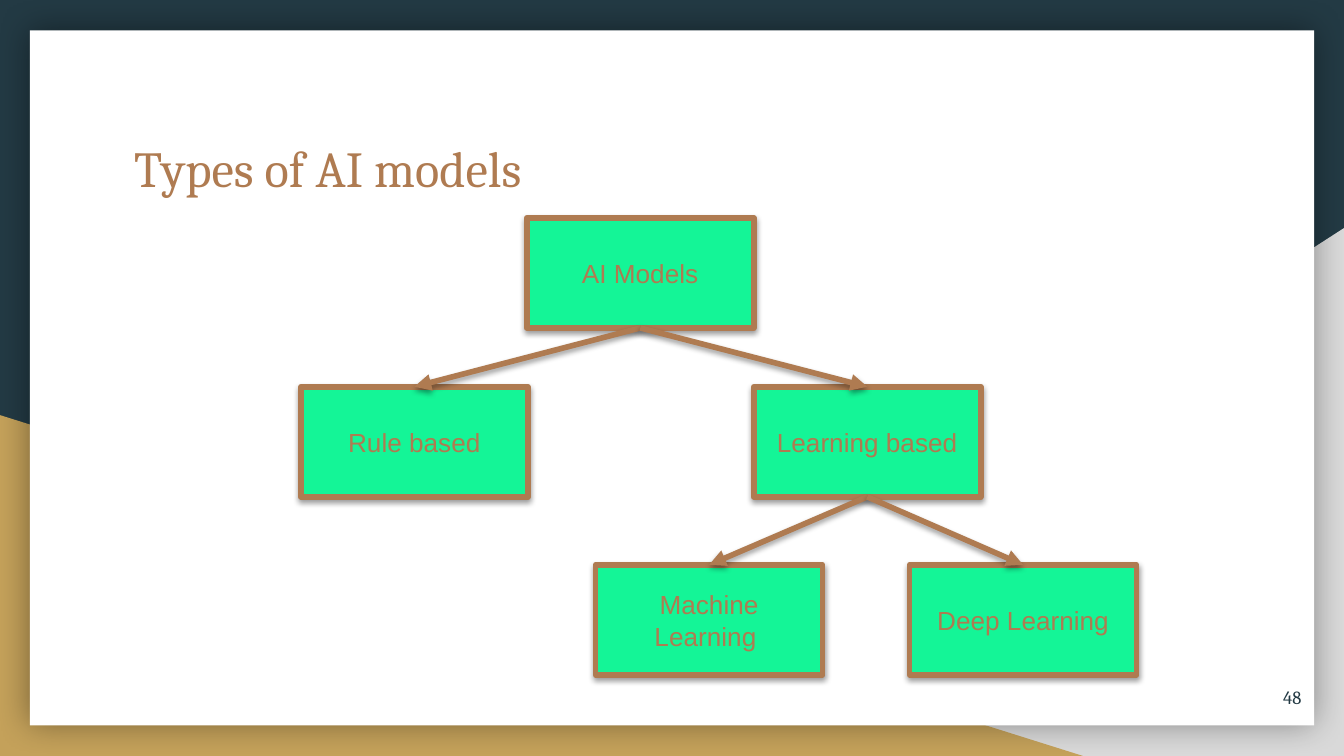
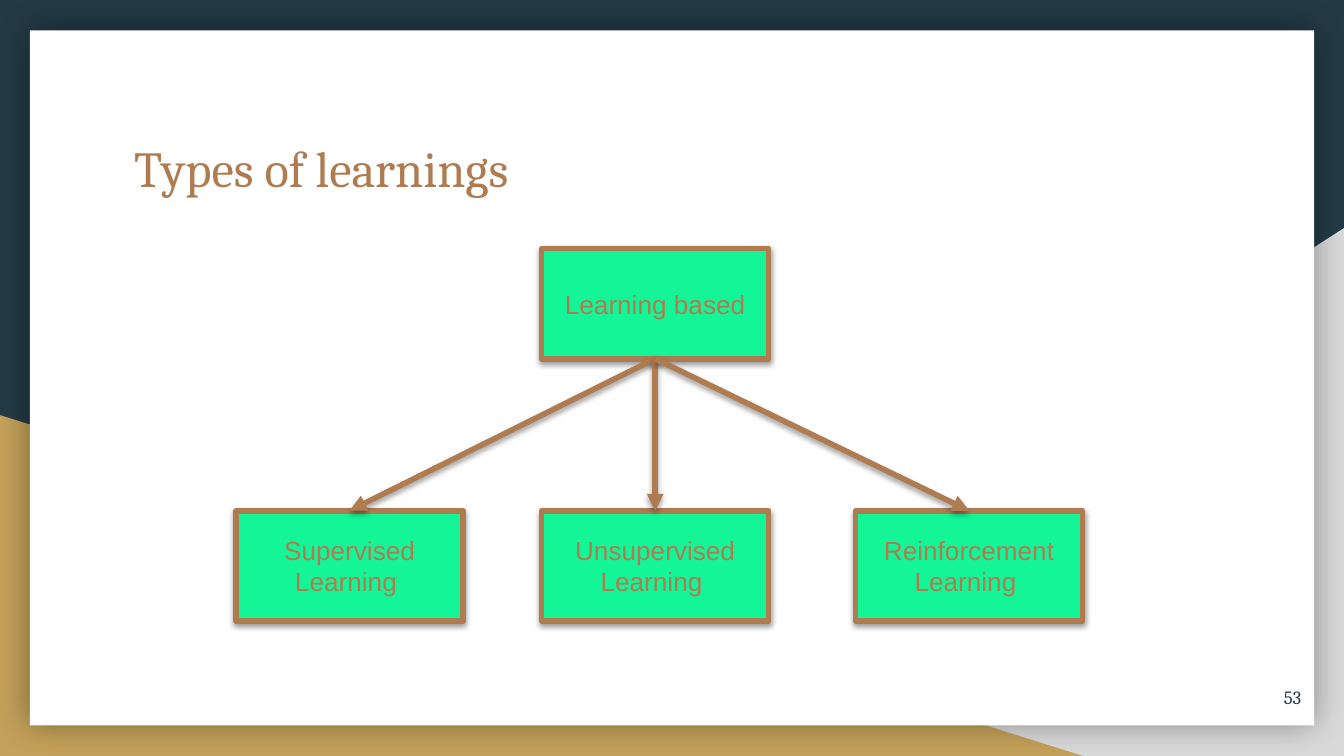
import pptx
import pptx.util
import pptx.dml.color
import pptx.enum.shapes
import pptx.enum.text
import pptx.oxml.ns
import lxml.etree

Pt = pptx.util.Pt
qn = pptx.oxml.ns.qn
SHAPE = pptx.enum.shapes.MSO_SHAPE
ALIGN = pptx.enum.text.PP_ALIGN
ANCHOR = pptx.enum.text.MSO_ANCHOR

COLORS = {
    "night": "233A44",
    "sand": "C4A15A",
    "mist": "D9D9D9",
    "paper": "FFFFFF",
    "copper": "AF7B51",
    "mint": "14F597",
    "shade": "000000",
}
PAPER_SHADOW = {"blur": 18, "distance": 0, "angle": 0, "opacity": 40}
NODE_SHADOW = {"blur": 3.1, "distance": 1.6, "angle": 90, "opacity": 38}
TITLE_FONT = {"name": "Cambria", "size": Pt(27)}
NUMBER_FONT = {"name": "Cambria", "size": Pt(10)}
NODE_FONT = {"name": "Arial", "size": Pt(14)}
NODE_WIDTH, NODE_HEIGHT = 121.6, 59
TOP_SITE, BOTTOM_SITE = 0, 2


def rgb(color):
    return pptx.dml.color.RGBColor.from_string(COLORS[color])


class Deck:
    def __init__(self):
        self.presentation = pptx.Presentation()
        self.presentation.slide_width = Pt(720)
        self.presentation.slide_height = Pt(405)
        self.slide = None

    def start_slide(self, title, number):
        self.slide = self.presentation.slides.add_slide(self.presentation.slide_layouts[6])
        backdrop = self.slide.background.fill
        backdrop.solid()
        backdrop.fore_color.rgb = rgb("night")
        right_corner = self.panel(SHAPE.RIGHT_TRIANGLE, (282, 122.2, 438, 282.8), "mist")
        right_corner._element.spPr.find(qn("a:xfrm")).set("flipH", "1")
        self.panel(SHAPE.RIGHT_TRIANGLE, (0, 222.4, 580.2, 182.6), "sand")
        paper = self.panel(SHAPE.RECTANGLE, (16, 16.2, 688, 372.4), "paper")
        self.cast_shadow(paper, **PAPER_SHADOW)
        self.label(title, (64.8, 66.3, 591, 50.4), TITLE_FONT, "copper", ALIGN.LEFT, ANCHOR.TOP)
        self.label(number, (661, 358, 43.2, 31), NUMBER_FONT, "night", ALIGN.RIGHT, ANCHOR.MIDDLE)

    def panel(self, kind, box, color):
        panel = self.slide.shapes.add_shape(kind, *map(Pt, box))
        panel.shadow.inherit = False
        panel.fill.solid()
        panel.fill.fore_color.rgb = rgb(color)
        panel.line.fill.background()
        return panel

    def label(self, text, box, font, color, align, anchor):
        label = self.slide.shapes.add_textbox(*map(Pt, box))
        margins = dict.fromkeys(
            ("margin_left", "margin_top", "margin_right", "margin_bottom"), Pt(7.2))
        for name, value in margins.items():
            setattr(label.text_frame, name, value)
        self.set_text(label.text_frame, text, font, color, align, anchor)

    def set_text(self, frame, text, font, color, align, anchor):
        frame.word_wrap = True
        frame.vertical_anchor = anchor
        paragraph = frame.paragraphs[0]
        paragraph.alignment = align
        run = paragraph.add_run()
        run.text = text
        for name, value in font.items():
            setattr(run.font, name, value)
        run.font.color.rgb = rgb(color)

    def outline(self, line):
        line.color.rgb = rgb("copper")
        line.width = Pt(3)
        stroke = line._get_or_add_ln()
        lxml.etree.SubElement(stroke, qn("a:round"))
        return stroke

    def cast_shadow(self, element, blur, distance, angle, opacity):
        properties = element._element.spPr
        effects = properties.find(qn("a:effectLst"))
        if effects is None:
            effects = lxml.etree.SubElement(properties, qn("a:effectLst"))
        shadow = lxml.etree.SubElement(
            effects, qn("a:outerShdw"), blurRad=str(int(Pt(blur))),
            dist=str(int(Pt(distance))), dir=str(angle * 60000),
            algn="bl", rotWithShape="0")
        tint = lxml.etree.SubElement(shadow, qn("a:srgbClr"), val=COLORS["shade"])
        lxml.etree.SubElement(tint, qn("a:alpha"), val=str(opacity * 1000))

    def node(self, text, left, top):
        node = self.panel(SHAPE.FLOWCHART_PROCESS, (left, top, NODE_WIDTH, NODE_HEIGHT), "mint")
        self.outline(node.line)
        self.cast_shadow(node, **NODE_SHADOW)
        self.set_text(node.text_frame, text, NODE_FONT, "copper", ALIGN.CENTER, ANCHOR.MIDDLE)
        return node

    def branch(self, parent, *children):
        for child in children:
            arrow = self.slide.shapes.add_connector(
                pptx.enum.shapes.MSO_CONNECTOR.STRAIGHT, 0, 0, 0, 0)
            arrow.begin_connect(parent, BOTTOM_SITE)
            arrow.end_connect(child, TOP_SITE)
            stroke = self.outline(arrow.line)
            lxml.etree.SubElement(stroke, qn("a:tailEnd"), type="triangle")
            self.cast_shadow(arrow, **NODE_SHADOW)


def main():
    deck = Deck()

    deck.start_slide("Types of AI models", "48")
    models = deck.node("AI Models", 282.2, 116.7)
    rules = deck.node("Rule based", 161.2, 207.2)
    learning = deck.node("Learning based", 403.8, 207.2)
    machine = deck.node("Machine Learning ", 319.1, 302.6)
    deep = deck.node("Deep Learning", 487.3, 302.6)
    deck.branch(models, rules, learning)
    deck.branch(learning, machine, deep)

    deck.start_slide("Types of learnings", "53")
    learning = deck.node("Learning based", 290.2, 133.2)
    methods = [
        deck.node(f"{method} Learning ", left, 273.6)
        for method, left in (
            ("Supervised", 126.5), ("Unsupervised", 290.2), ("Reinforcement", 458.4))
    ]
    deck.branch(learning, *methods)

    deck.presentation.save("out.pptx")


if __name__ == "__main__":
    main()
